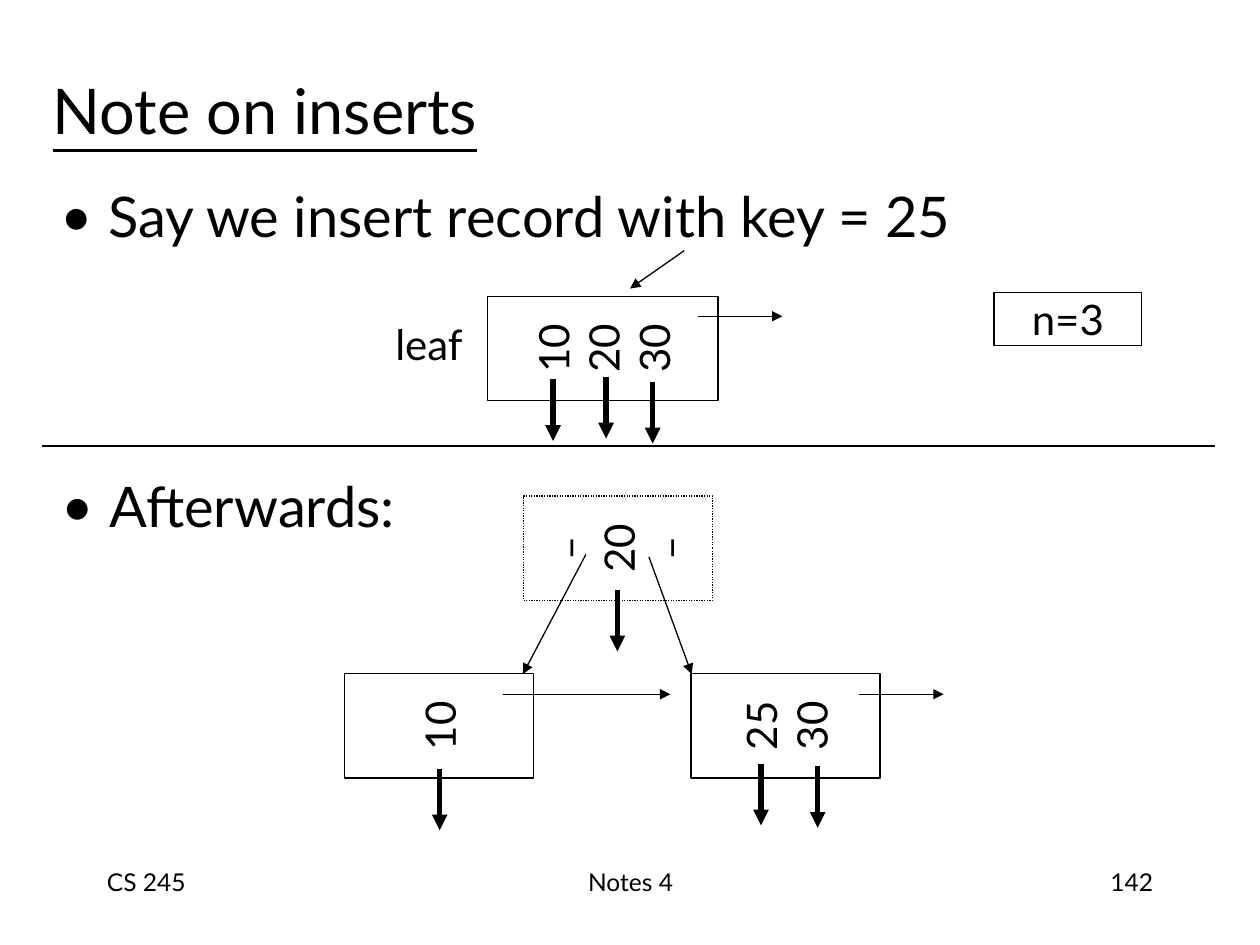
from lxml.etree import SubElement
from pptx import Presentation
from pptx.dml.color import RGBColor
from pptx.enum.dml import MSO_LINE
from pptx.enum.shapes import MSO_CONNECTOR, MSO_SHAPE
from pptx.enum.text import MSO_ANCHOR, PP_ALIGN
from pptx.oxml.ns import qn
from pptx.util import Inches, Pt

COLORS = {"ink": "000000", "paper": "FFFFFF"}
INK = RGBColor.from_string(COLORS["ink"])
PAPER = RGBColor.from_string(COLORS["paper"])

deck = Presentation()
deck.slide_width, deck.slide_height = Inches(10), Inches(7.5)
slide = deck.slides.add_slide(deck.slide_layouts[6])
slide.background.fill.solid()
slide.background.fill.fore_color.rgb = PAPER


def write(holder, lines, size, align=PP_ALIGN.LEFT, anchor=MSO_ANCHOR.TOP,
          wrap=True, bullet=False, underline=None):
    frame = holder.text_frame
    frame.word_wrap = wrap
    frame.vertical_anchor = anchor
    for index, line in enumerate(lines):
        paragraph = frame.add_paragraph() if index else frame.paragraphs[0]
        paragraph.alignment = align
        if bullet:
            properties = paragraph._p.get_or_add_pPr()
            properties.set("marL", str(Inches(0.38)))
            properties.set("indent", str(Inches(-0.38)))
            SubElement(properties, qn("a:buFont"), typeface="Lato")
            SubElement(properties, qn("a:buChar"), char="•")
        run = paragraph.add_run()
        run.text = line
        run.font.name = "Lato"
        run.font.size = Pt(size)
        run.font.color.rgb = INK
        run.font.underline = underline


def draw_line(x1, y1, x2, y2, weight=0.75, arrow=True):
    line = slide.shapes.add_connector(
        MSO_CONNECTOR.STRAIGHT, Inches(x1), Inches(y1), Inches(x2), Inches(y2))
    line.line.color.rgb = INK
    line.line.width = Pt(weight)
    if arrow:
        SubElement(line.line._get_or_add_ln(), qn("a:tailEnd"), type="triangle")
    SubElement(line._element.spPr, qn("a:effectLst"))


footers = [
    (0.75, 2.08, "CS 245", PP_ALIGN.LEFT),
    (3.42, 3.17, "Notes 4", PP_ALIGN.CENTER),
    (7.17, 2.08, "142", PP_ALIGN.RIGHT),
]
for left, width, words, align in footers:
    footer = slide.shapes.add_textbox(Inches(left), Inches(6.83), Inches(width), Inches(0.5))
    write(footer, [words], 14, align)

title = slide.shapes.add_textbox(Inches(0.32), Inches(0.24), Inches(8.5), Inches(1.25))
write(title, ["Note on inserts"], 36, anchor=MSO_ANCHOR.MIDDLE, underline=True)

steps = [
    (0.38, 1.39, 8.5, "Say we insert record with key = 25"),
    (0.39, 3.69, 3.11, "Afterwards:"),
]
for left, top, width, words in steps:
    step = slide.shapes.add_textbox(Inches(left), Inches(top), Inches(width), Inches(0.67))
    write(step, [words], 32, bullet=True)

boxes = [
    (4.37, 1.85, 0.83, 1.83, 270, ["10", "20", "30"], MSO_LINE.SOLID),
    (7.89, 2.32, 1.17, 0.42, 0, ["n=3"], MSO_LINE.SOLID),
    (3.07, 5.01, 0.83, 1.5, 270, ["10"], MSO_LINE.SOLID),
    (4.49, 3.6, 0.83, 1.5, 270, ["–", "20", "–"], MSO_LINE.ROUND_DOT),
    (5.82, 5.01, 0.83, 1.5, 270, ["25", "30"], MSO_LINE.SOLID),
]
for left, top, width, height, turn, keys, dash in boxes:
    box = slide.shapes.add_shape(
        MSO_SHAPE.RECTANGLE, Inches(left), Inches(top), Inches(width), Inches(height))
    box.rotation = turn
    box.shadow.inherit = False
    box.fill.solid()
    box.fill.fore_color.rgb = PAPER
    box.line.color.rgb = INK
    box.line.width = Pt(0.75)
    box.line.dash_style = dash
    write(box, keys, 24, PP_ALIGN.CENTER, MSO_ANCHOR.MIDDLE, wrap=False)

leaf_label = slide.shapes.add_textbox(Inches(3.02), Inches(2.48), Inches(0.77), Inches(0.5))
write(leaf_label, ["leaf"], 24, PP_ALIGN.CENTER, MSO_ANCHOR.MIDDLE, wrap=False)

record_pointers = [
    (4.39, 3.01), (4.81, 2.99), (5.18, 3.03),
    (4.9, 4.68), (3.49, 6.1), (6.04, 6.06), (6.49, 6.08),
]
for x, top in record_pointers:
    draw_line(x, top, x, top + 0.49, weight=3)

node_pointers = [
    (5.43, 1.99, 5, 2.29),
    (5.54, 2.51, 6.21, 2.51),
    (4.65, 4.4, 4.15, 5.35),
    (5.15, 4.42, 5.49, 5.35),
    (3.99, 5.51, 5.32, 5.51),
    (6.82, 5.51, 7.49, 5.51),
]
for ends in node_pointers:
    draw_line(*ends)

draw_line(0.33, 3.54, 9.64, 3.54, arrow=False)

deck.save("out.pptx")
